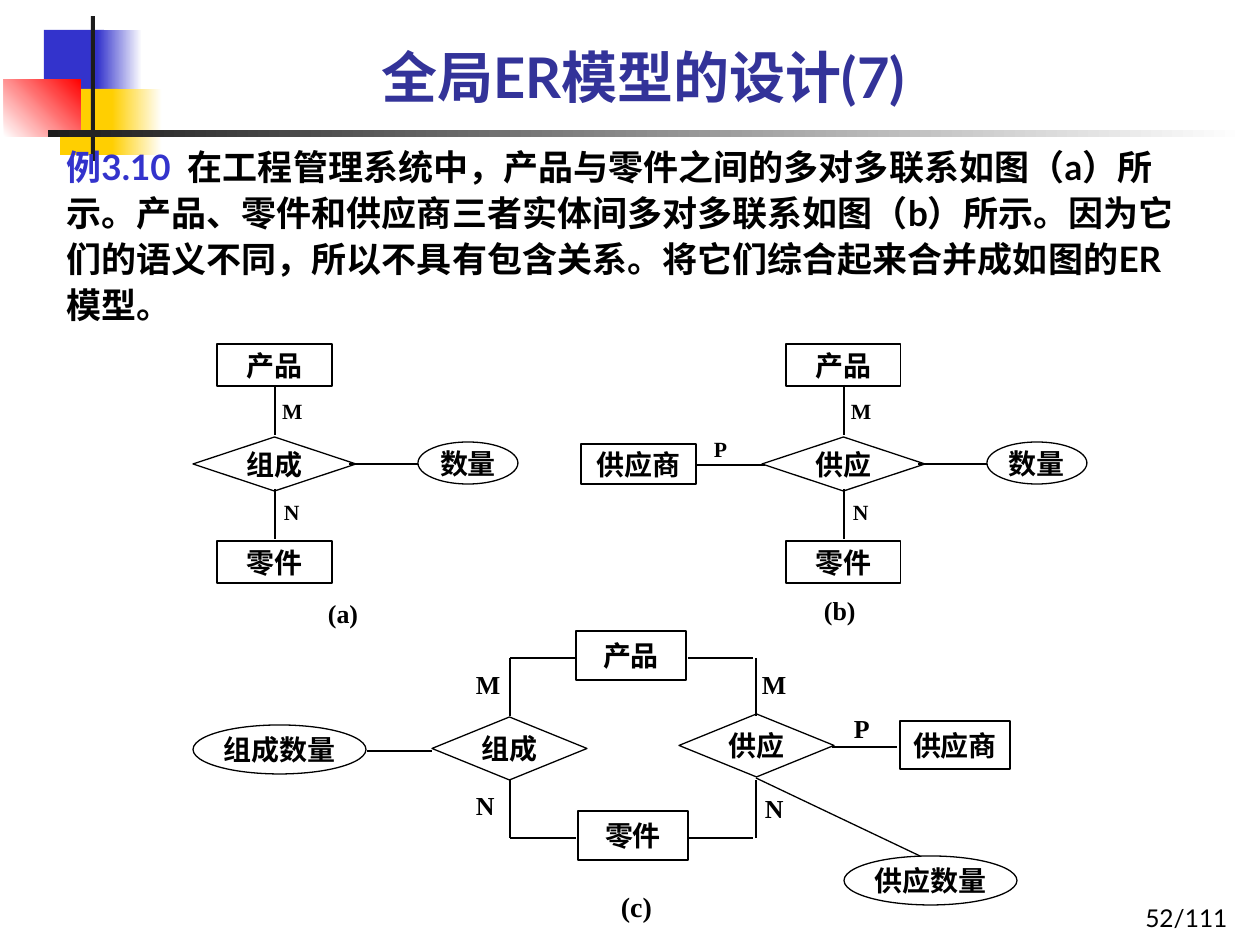
import pptx
import pptx.util
from pptx.dml.color import RGBColor
from pptx.enum.shapes import MSO_CONNECTOR, MSO_SHAPE
from pptx.enum.text import MSO_ANCHOR, PP_ALIGN
from pptx.oxml.ns import qn
from lxml import etree

PX = 914400 // 126


class Theme:
    blue, gold, red = "3333CC", "FFCF01", "FF0000"
    title, dark, black, white = "333399", "1C1C1C", "000000", "FFFFFF"
    sans, serif = "Lato", "Times New Roman"
    title_size, body_size, node_size, page_size = 32, 20, 16, 14
    line = 0.75


TITLE = "全局ER模型的设计(7) "
BODY = [
    ("例3.10  ", Theme.blue),
    ("在工程管理系统中，产品与零件之间的多对多联系如图（a）所示。"
     "产品、零件和供应商三者实体间多对多联系如图（b）所示。"
     "因为它们的语义不同，所以不具有包含关系。"
     "将它们综合起来合并成如图的ER模型。", Theme.black),
]
PAGE = "52/111"

# left, top, width, height, first colour, last colour, gradient angle
DECOR = [
    (44, 30, 60, 66, Theme.blue, None, 0),
    (97, 30, 45, 66, Theme.blue, Theme.white, 0),
    (60, 89, 58, 66, Theme.gold, None, 0),
    (112, 89, 50, 66, Theme.gold, Theme.white, 0),
    (4, 79, 77, 58, Theme.white, Theme.red, 45),
    (91, 16, 4, 145, Theme.dark, None, 0),
    (48, 130, 1198, 7, Theme.dark, Theme.white, 0),
]

SHAPES = {"entity": MSO_SHAPE.RECTANGLE, "relation": MSO_SHAPE.DIAMOND,
          "attribute": MSO_SHAPE.OVAL}

# Common part of diagrams (a) and (b); {} is the name of the relation
PAIR = {
    "nodes": [("entity", "产品", 217, 344, 115, 42),
              ("attribute", "数量", 418, 442, 100, 42),
              ("relation", "{}", 193, 437, 163, 54),
              ("entity", "零件", 217, 541, 115, 42)],
    "links": [(275, 385, 275, 435), (275, 489, 275, 539), (349, 464, 418, 464)],
    "labels": [("M", 282, 399), ("N", 284, 500)],
}
PAIRS = [(0, "组成"), (569, "供应")]

SUPPLIER = {
    "nodes": [("entity", "供应商", 581, 444, 115, 40)],
    "links": [(696, 465, 765, 465)],
    "labels": [("P", 714, 437)],
}

MERGED = {
    "nodes": [("relation", "组成", 432, 717, 155, 63),
              ("relation", "供应", 679, 714, 155, 63),
              ("attribute", "组成数量", 193, 725, 173, 49),
              ("attribute", "供应数量", 844, 856, 173, 49),
              ("entity", "供应商", 900, 721, 110, 48),
              ("entity", "产品", 576, 631, 110, 49),
              ("entity", "零件", 578, 811, 110, 49)],
    "links": [(510, 658, 510, 716), (510, 780, 510, 838),
              (756, 658, 756, 716), (756, 780, 756, 838),
              (510, 658, 576, 658), (688, 658, 753, 658),
              (510, 838, 576, 838), (688, 838, 753, 838),
              (367, 751, 432, 751), (832, 747, 897, 747),
              (756, 778, 920, 856)],
    "labels": [("M", 476, 670), ("M", 762, 670), ("N", 476, 791),
               ("N", 765, 794), ("P", 854, 714)],
}

# text, left, top, width, height, size, line spacing
CAPTIONS = [("(a)", 328, 599, 57, 33, 14.8, 0.9),
            ("(b)", 824, 596, 57, 33, 14.8, 0.9),
            ("(c)", 621, 887, 54, 39, 16, 1.0)]
# width, height, size, line spacing of the cardinality labels
SMALL_LABEL = (29, 29, 12.4, 0.8)
LARGE_LABEL = (28, 33, 14.8, 0.9)


def rgb(value):
    return RGBColor.from_string(value)


def emu(*lengths):
    return [pptx.util.Emu(n * PX) for n in lengths]


def write(sp, runs, size, font=Theme.serif, bold=True, align=PP_ALIGN.CENTER,
          anchor=MSO_ANCHOR.MIDDLE, spacing=1.0, inset=(0, 0)):
    """Fill a shape with one paragraph of (text, colour) runs."""
    tf = sp.text_frame
    tf.word_wrap = True
    tf.vertical_anchor = anchor
    tf.margin_left = tf.margin_right = pptx.util.Inches(inset[0])
    tf.margin_top = tf.margin_bottom = pptx.util.Inches(inset[1])
    p = tf.paragraphs[0]
    p.alignment = align
    p.line_spacing = spacing
    for text, color in runs:
        r = p.add_run()
        r.text = text
        r.font.name = font
        r.font.size = pptx.util.Pt(size)
        r.font.bold = bold
        r.font.color.rgb = rgb(color)


def add_text(s, box, runs, size, **style):
    write(s.shapes.add_textbox(*emu(*box)), runs, size, **style)


def add_label(s, text, x, y, w, h, size, spacing):
    add_text(s, (x, y, w, h), [(text, Theme.black)], size,
             align=PP_ALIGN.JUSTIFY, spacing=spacing)


def add_decor(s, x, y, w, h, first, last, angle):
    sp = s.shapes.add_shape(MSO_SHAPE.RECTANGLE, *emu(x, y, w, h))
    sp.shadow.inherit = False
    sp.line.fill.background()
    if last is None:
        sp.fill.solid()
        sp.fill.fore_color.rgb = rgb(first)
        return
    sp.fill.gradient()
    sp.fill.gradient_angle = angle
    for stop, color in zip(sp.fill.gradient_stops, (first, last)):
        stop.color.rgb = rgb(color)


def add_node(s, kind, text, x, y, w, h):
    sp = s.shapes.add_shape(SHAPES[kind], *emu(x, y, w, h))
    sp.shadow.inherit = False
    if kind == "attribute":
        sp.fill.background()
    else:
        sp.fill.solid()
        sp.fill.fore_color.rgb = rgb(Theme.white)
    sp.line.color.rgb = rgb(Theme.black)
    sp.line.width = pptx.util.Pt(Theme.line)
    write(sp, [(text, Theme.black)], Theme.node_size)


def add_link(s, *ends):
    c = s.shapes.add_connector(MSO_CONNECTOR.STRAIGHT, *emu(*ends))
    c.line.color.rgb = rgb(Theme.black)
    c.line.width = pptx.util.Pt(Theme.line)
    etree.SubElement(c._element.spPr, qn("a:effectLst"))


def add_diagram(s, diagram, label_style, dx=0, relation=""):
    for kind, text, x, y, w, h in diagram["nodes"]:
        add_node(s, kind, text.format(relation), x + dx, y, w, h)
    for x1, y1, x2, y2 in diagram["links"]:
        add_link(s, x1 + dx, y1, x2 + dx, y2)
    for text, x, y in diagram["labels"]:
        add_label(s, text, x + dx, y, *label_style)


def main():
    prs = pptx.Presentation()
    prs.slide_width, prs.slide_height = emu(1260, 945)
    s = prs.slides.add_slide(prs.slide_layouts[6])
    for decor in DECOR:
        add_decor(s, *decor)
    add_text(s, (978, 876, 262, 63), [(PAGE, Theme.black)], Theme.page_size,
             font=Theme.sans, bold=False, align=PP_ALIGN.RIGHT,
             anchor=MSO_ANCHOR.BOTTOM, inset=(0.1, 0.05))
    add_text(s, (54, 135, 1142, 208), BODY, Theme.body_size, font=Theme.sans,
             align=PP_ALIGN.LEFT, anchor=MSO_ANCHOR.TOP, spacing=1.1,
             inset=(0.1, 0.05))
    for dx, relation in PAIRS:
        add_diagram(s, PAIR, SMALL_LABEL, dx, relation)
    add_diagram(s, SUPPLIER, SMALL_LABEL)
    add_diagram(s, MERGED, LARGE_LABEL)
    for caption in CAPTIONS:
        add_label(s, *caption)
    add_text(s, (113, 6, 1074, 110), [(TITLE, Theme.title)], Theme.title_size,
             font=Theme.sans, anchor=MSO_ANCHOR.BOTTOM, inset=(0.1, 0.05))
    prs.save("out.pptx")


if __name__ == "__main__":
    main()
